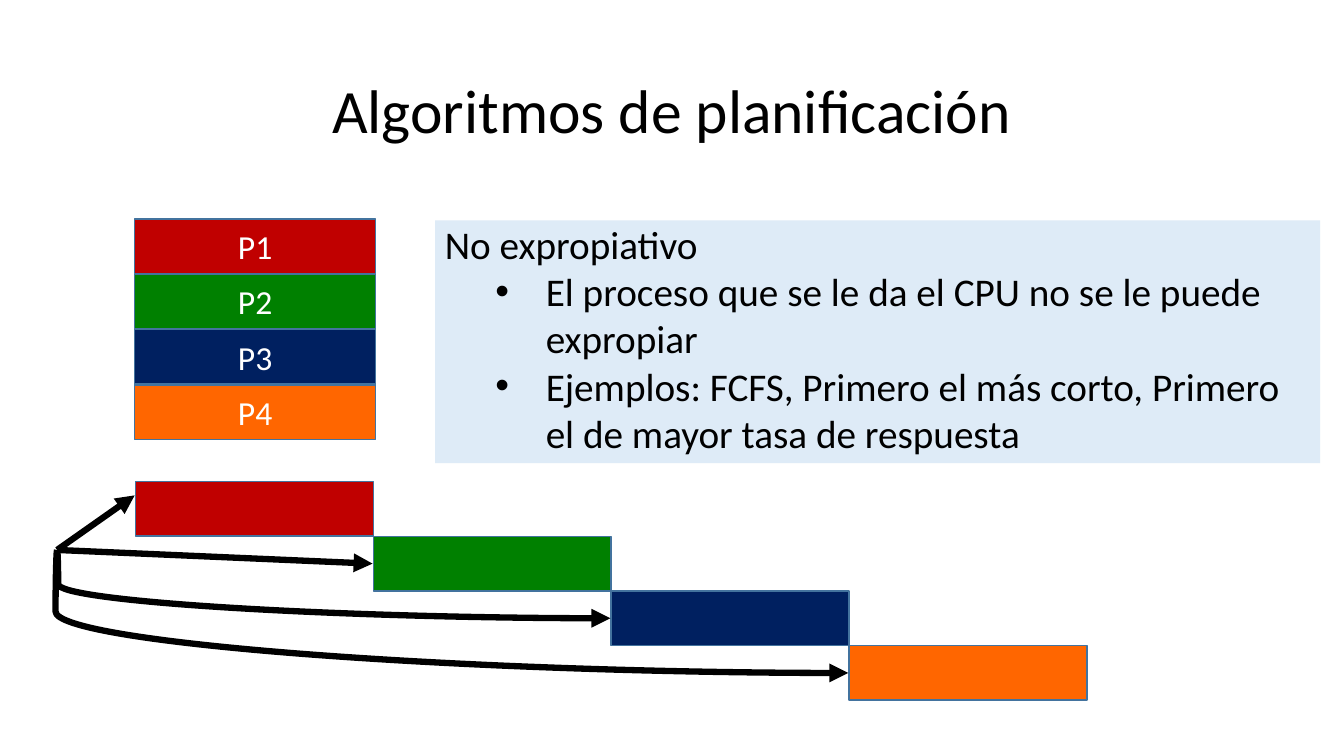
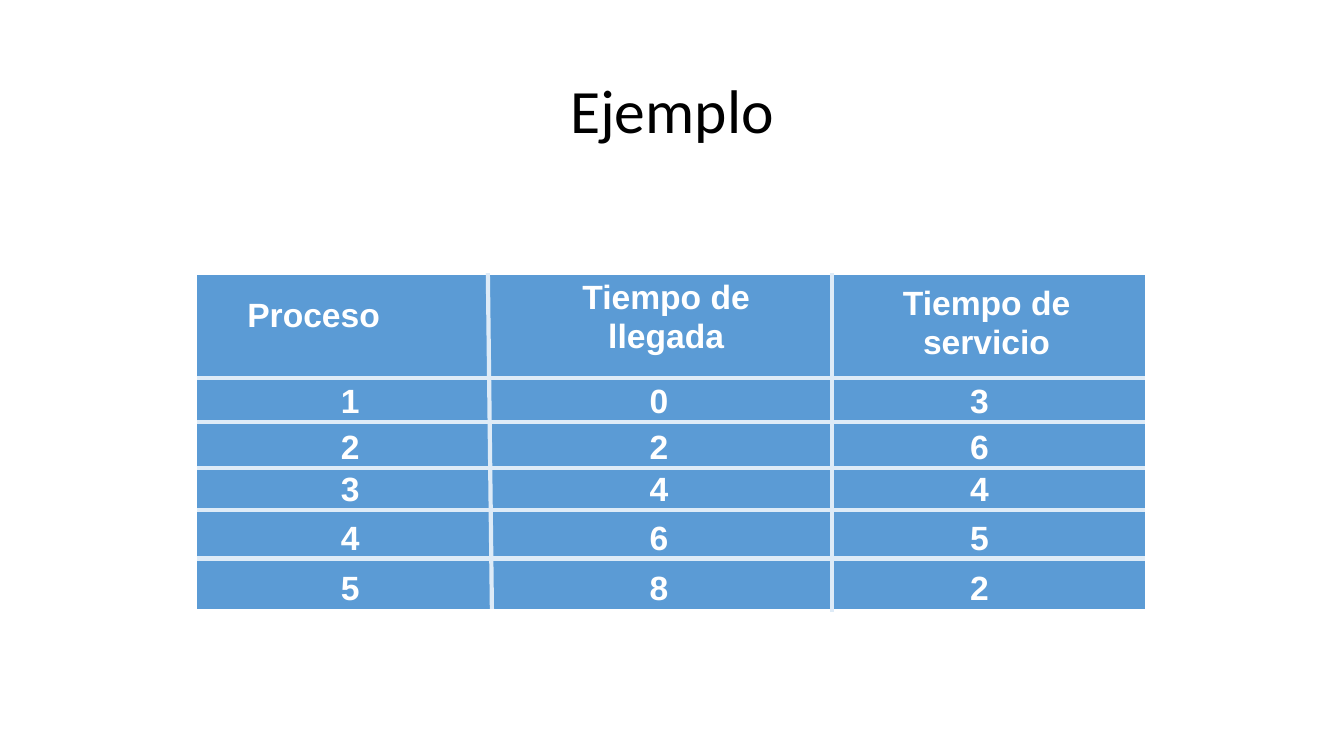
from lxml.etree import SubElement as Sub, Element
from pptx import Presentation
from pptx.dml.color import RGBColor
from pptx.enum.shapes import MSO_CONNECTOR as Link, MSO_SHAPE as Form
from pptx.enum.text import MSO_ANCHOR as Anchor, PP_ALIGN as Align
from pptx.oxml.ns import qn
from pptx.util import Inches, Pt

BLACK = RGBColor(0x00, 0x00, 0x00)
WHITE = RGBColor(0xFF, 0xFF, 0xFF)
RED = RGBColor(0xC0, 0x00, 0x00)
GREEN = RGBColor(0x00, 0x80, 0x00)
NAVY = RGBColor(0x00, 0x20, 0x60)
ORANGE = RGBColor(0xFF, 0x66, 0x00)
EDGE = RGBColor(0x43, 0x73, 0x9E)
PALE = RGBColor(0xDE, 0xEB, 0xF7)
BLUE = RGBColor(0x5B, 0x9B, 0xD5)


def write(frame, text, size=24, font="Calibri", color=WHITE, bold=False,
          align=Align.CENTER, anchor=Anchor.MIDDLE, first=None, rest=None,
          bullet=False):
    """Fill a frame, one paragraph a line; bullet marks all but the first."""
    frame.word_wrap = True
    frame.vertical_anchor = anchor
    for i, line in enumerate(text.split("\n")):
        par = frame.paragraphs[0] if i == 0 else frame.add_paragraph()
        par.text = line
        par.alignment = align
        par.line_spacing = rest if i else first
        if i and bullet:
            par.level = 1
            props = par._p.get_or_add_pPr()
            props.set("marL", str(Inches(1)))
            props.set("indent", str(-Inches(0.5)))
            Sub(props, qn("a:buFont"), typeface="Arial")
            Sub(props, qn("a:buChar"), char="•")
        for run in par.runs:
            run.font.size = Pt(size)
            run.font.name = font
            run.font.bold = bold
            run.font.color.rgb = color


class Deck:
    """Style and current slide; lengths are percent of the slide's size."""

    def __init__(self):
        self.prs = Presentation()
        self.prs.slide_width = Inches(13.33)
        self.prs.slide_height = Inches(7.5)
        self.slide = None

    def x(self, share):
        return round(self.prs.slide_width * share / 100)

    def y(self, share):
        return round(self.prs.slide_height * share / 100)

    def area(self, x, y, w, h):
        return self.x(x), self.y(y), self.x(w), self.y(h)

    def page(self, title):
        self.slide = self.prs.slides.add_slide(self.prs.slide_layouts[5])
        head = self.slide.shapes.title
        head.left, head.top, head.width, head.height = self.area(
            6.88, 5.33, 86.25, 19.33)
        write(head.text_frame, title, size=44, color=BLACK, first=0.9)

    def box(self, x, y, w, h, fill, edge=None, text="", **form):
        box = self.slide.shapes.add_shape(
            Form.RECTANGLE, *self.area(x, y, w, h))
        box.shadow.inherit = False
        box.fill.solid()
        box.fill.fore_color.rgb = fill
        if edge is None:
            box.line.fill.background()
        else:
            box.line.color.rgb = edge
            box.line.width = Pt(1)
        if text:
            write(box.text_frame, text, **form)

    def rule(self, start, end, color=PALE, width=3, kind=Link.STRAIGHT):
        line = self.slide.shapes.add_connector(
            kind, self.x(start[0]), self.y(start[1]),
            self.x(end[0]), self.y(end[1]))
        line.line.color.rgb = color
        line.line.width = Pt(width)
        Sub(line._element.spPr, qn("a:effectLst"))
        return line

    def arrow(self, start, end, bend=None):
        kind = Link.STRAIGHT if bend is None else Link.CURVE
        line = self.rule(start, end, BLACK, 4.5, kind)
        props = line._element.spPr
        Sub(props.find(qn("a:ln")), qn("a:tailEnd"), type="triangle")
        if bend is not None:
            guides = props.find(qn("a:prstGeom")).get_or_add_avLst()
            Sub(guides, qn("a:gd"), name="adj1", fmla=f"val {bend}")

    def table(self, x, y, cols, rows):
        shape = self.slide.shapes.add_table(
            len(rows), len(cols), *self.area(x, y, sum(cols), sum(rows)))
        grid = shape.table
        grid.first_row = grid.horz_banding = False
        for col, w in zip(grid.columns, cols):
            col.width = self.x(w)
        for row, h in zip(grid.rows, rows):
            row.height = self.y(h)
        return grid

    def cell(self, cell, text, pads, anchor=Anchor.MIDDLE, **form):
        """Pads are left, top, right, bottom in inches."""
        (cell.margin_left, cell.margin_top,
         cell.margin_right, cell.margin_bottom) = map(Inches, pads)
        write(cell.text_frame, text, font="Arial", bold=True, **form)
        cell.vertical_anchor = anchor
        cell.fill.solid()
        cell.fill.fore_color.rgb = BLUE
        for i, side in enumerate("LRTB"):
            edge = Element(qn(f"a:ln{side}"), w="0")
            Sub(edge, qn("a:noFill"))
            cell._tc.get_or_add_tcPr().insert(i, edge)


def plan(deck):
    deck.page("Algoritmos de planificación")
    left, wide, high = 10.07, 17.7, 7.2
    top, drop = 63.73, 7.23
    hues = (RED, GREEN, NAVY, ORANGE)

    # Process queue and its time bars
    for i, hue in enumerate(hues):
        deck.box(10.02, 28.95 + i * 7.33, 17.93, high, hue, EDGE, f"P{i + 1}")
    for i, hue in enumerate(hues):
        deck.box(left + i * wide, top + i * drop, wide, high, hue, EDGE)

    # Explanation
    deck.box(32.37, 29.15, 65.85, 32.13, PALE, text=(
        "No expropiativo\n"
        "El proceso que se le da el CPU no se le puede expropiar\n"
        "Ejemplos: FCFS, Primero el más corto, "
        "Primero el de mayor tasa de respuesta"),
        size=28, color=BLACK, align=Align.LEFT, anchor=Anchor.TOP,
        first=0.9, bullet=True)

    # Arrows from one origin to each bar
    for i, bend in enumerate((None, None, 200, -200)):
        aim = high / 2 if i else high / 4
        deck.arrow((4.25, 72.75), (left - 0.05 + i * wide,
                                   top + i * drop + aim), bend)


def sample(deck):
    deck.page("Ejemplo")
    heads = (
        ("Proceso", Align.LEFT, (0.5, 0.22, 0, 0)),
        ("Tiempo de\nllegada", Align.CENTER, (0.1, 0.04, 0, 0)),
        ("Tiempo de\nservicio", Align.CENTER, (0.01, 0.1, 0.05, 0)),
    )
    data = ((1, 0, 3), (2, 2, 6), (3, 4, 4), (4, 6, 5), (5, 8, 2))
    shifts = ((0.13, 0), (0, 0.04), (0, 0.18))
    drops = (0.04, 0.06, 0.02, 0.09, 0.11)
    left, top = 14.65, 36.4
    cols = (21.83, 25.42, 23.32)
    rows = (13.6, 5.87, 6, 5.6, 6.4, 6.67)
    right, base = left + sum(cols), top + sum(rows)
    grid = deck.table(left, top, cols, rows)

    # Header
    for c, (text, align, pads) in enumerate(heads):
        deck.cell(grid.cell(0, c), text, pads, align=align,
                  anchor=Anchor.TOP, rest=1.05)

    # Values
    for r, (row, drop) in enumerate(zip(data, drops), 1):
        for c, (value, (lead, trail)) in enumerate(zip(row, shifts)):
            deck.cell(grid.cell(r, c), str(value), (lead, drop, trail, 0))

    # Rules between columns, the first a little slanted, and between rows
    for head, foot, low in ((36.3, 36.6, base), (61.9, 61.9, base + 0.4)):
        deck.rule((head, top - 0.27), (foot, low))
    for r in range(1, len(rows)):
        level = top + sum(rows[:r])
        deck.rule((left, level), (right, level))


def main():
    deck = Deck()
    plan(deck)
    sample(deck)
    deck.prs.save("out.pptx")


if __name__ == "__main__":
    main()
